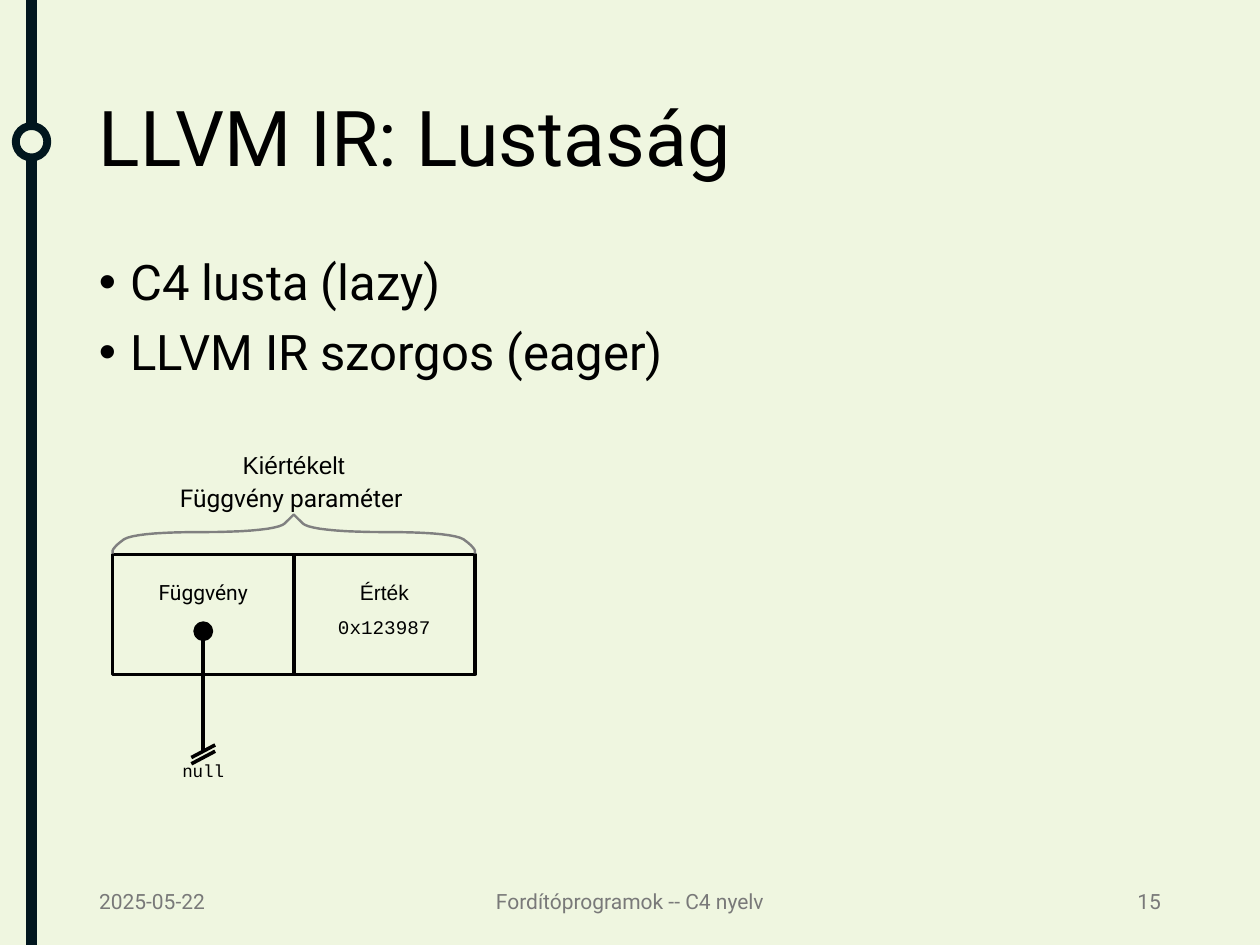
from pptx import Presentation
from pptx.util import Pt
from pptx.dml.color import RGBColor as Rgb
from pptx.enum.shapes import MSO_SHAPE as Kind, MSO_CONNECTOR as Link
from pptx.enum.text import PP_ALIGN as Align, MSO_ANCHOR as Anchor
from pptx.oxml.ns import qn
from lxml.etree import SubElement as Sub

HUES = {"back": "EFF6E0", "rail": "01161E", "ink": "000000",
        "brace": "808080", "foot": "797979"}


def hue(name):
    return Rgb.from_string(HUES[name])


def text(slide, box, lines, size, font="Roboto", color="ink",
         align=Align.LEFT, anchor=Anchor.TOP, wrap=True):
    shape = slide.shapes.add_textbox(*map(Pt, box))
    frame = shape.text_frame
    frame.word_wrap = wrap
    frame.vertical_anchor = anchor
    frame.text = "\n".join(lines)
    for para in frame.paragraphs:
        para.alignment = align
        for run in para.runs:
            run.font.size = Pt(size)
            run.font.name = font
            run.font.color.rgb = hue(color)
    return frame


def paint(shape, fill, line, width):
    shape.shadow.inherit = False
    if fill:
        shape.fill.solid()
        shape.fill.fore_color.rgb = hue(fill)
    else:
        shape.fill.background()
    shape.line.color.rgb = hue(line)
    shape.line.width = Pt(width)


def form(slide, kind, box, fill, line, width):
    shape = slide.shapes.add_shape(kind, *map(Pt, box))
    paint(shape, fill, line, width)


def stroke(slide, start, end, color, width):
    line = slide.shapes.add_connector(
        Link.STRAIGHT, *map(Pt, (*start, *end)))
    line.line.color.rgb = hue(color)
    line.line.width = Pt(width)
    Sub(line._element.spPr, qn("a:effectLst"))


def curve(ends, steps=10):
    a, b, c, d = ends
    for i in range(1, steps + 1):
        t = i / steps
        u = 1 - t
        yield tuple(u**3 * p + 3 * u * u * t * q + 3 * u * t * t * r + t**3 * s
                    for p, q, r, s in zip(a, b, c, d))


def brace(slide, x, y, w, h):
    mid = w / 2
    bends = [((0, .93), (0, .89), (.05, .8), (.05, .68)),
             ((.05, .68), (.08, .52), (.23, .45), (.5, .45)),
             ((.5, .45), (.77, .45), (.92, .36), (.95, .23))]
    bends[0] = ((0, .93), (0, .9), (.015, .8), (.05, .68))
    half = [(0, 1), (0, .93)]
    for bend in bends:
        half += curve(bend)
    half.append((1, 0))
    side = [(x + p * mid, y + q * h) for p, q in half]
    dots = side + [(2 * x + w - p, q) for p, q in reversed(side[:-1])]
    dots = [(Pt(p), Pt(q)) for p, q in dots]
    pen = slide.shapes.build_freeform(*dots[0])
    pen.add_line_segments(dots[1:], close=False)
    paint(pen.convert_to_shape(), None, "brace", 1.39)


def rail(slide, x, y, w, h):
    mid = x + w / 2
    stroke(slide, (mid, y), (mid, y + h), "rail", 6)
    form(slide, Kind.OVAL, (x, y + 72, w, w), "back", "rail", 4.5)


def title(slide, x, y, w, h):
    frame = text(slide, (x, y, w, h), ["LLVM IR: Lustaság"], 44,
                 anchor=Anchor.MIDDLE)
    frame.paragraphs[0].line_spacing = 0.9


def body(slide, x, y, w, h):
    frame = text(slide, (x, y, w, h),
                 ["C4 lusta (lazy)", "LLVM IR szorgos (eager)"], 28)
    for i, para in enumerate(frame.paragraphs):
        para.line_spacing = 0.9
        para.space_before = Pt(10 if i else 0)
        props = para._p.get_or_add_pPr()
        props.set("marL", str(Pt(18)))
        props.set("indent", str(Pt(-18)))
        Sub(props, qn("a:buFont")).set("typeface", "Arial")
        Sub(props, qn("a:buChar")).set("char", "•")


def thunk(slide, x, y, w, h):
    cell, top, high = w / 2, y + 63.2, 68.6
    first, mid, last = x + cell / 2, x + cell, x + cell * 1.5

    def label(center, down, wide, tall, words, size, font):
        text(slide, (center - wide / 2, y + down, wide, tall), [words], size,
             font, align=Align.CENTER, wrap=False)

    for left in (mid, x):
        form(slide, Kind.RECTANGLE, (left, top, cell, high),
             None, "ink", 2.05)
    label(mid, 0, 73.4, 24.2, "Kiértékelt", 14, "Arial")
    label(mid - 1.5, 18.7, 144.7, 24.2, "Függvény\u00a0paraméter", 14, "Roboto")
    brace(slide, x, y + 40.4, w, 22.3)
    label(first, 74.2, 67, 21.6, "Függvény", 12, "Roboto")
    label(last, 74.2, 42.5, 21.6, "Érték", 12, "Arial")
    label(last, 94.4, 69, 20.6, "0x123987", 11, "Courier New")
    form(slide, Kind.OVAL, (first - 4.1, y + 103, 8.2, 8.2),
         "ink", "ink", 3.1)
    stroke(slide, (first, y + 107.1), (first, y + 175.7), "ink", 2.05)
    for down in (172.1, 175.7):
        stroke(slide, (first - 6.8, y + down + 7.2),
               (first + 6.8, y + down), "ink", 2.05)
    label(first, 177.2, 38.9, 19.4, "null", 10, "Courier New")


def footer(slide, x, y, w, h):
    parts = [("2025-05-22", 0, 162, Align.LEFT),
             ("Fordítóprogramok -- C4 nyelv", (w - 243) / 2, 243, Align.CENTER),
             ("15", w - 162, 162, Align.RIGHT)]
    for words, left, wide, align in parts:
        text(slide, (x + left, y, wide, h), [words], 12, color="foot",
             align=align, anchor=Anchor.MIDDLE)


def main():
    deck = Presentation()
    deck.slide_width, deck.slide_height = Pt(720), Pt(540)
    slide = deck.slides.add_slide(deck.slide_layouts[6])
    slide.background.fill.solid()
    slide.background.fill.fore_color.rgb = hue("back")
    rail(slide, 9, 0, 18, 540)
    title(slide, 49.5, 28.75, 621, 104.4)
    body(slide, 49.5, 143.75, 621, 342.6)
    thunk(slide, 64.4, 253.6, 207, 196.6)
    footer(slide, 49.5, 500.5, 621, 28.75)
    deck.save("out.pptx")


if __name__ == "__main__":
    main()
